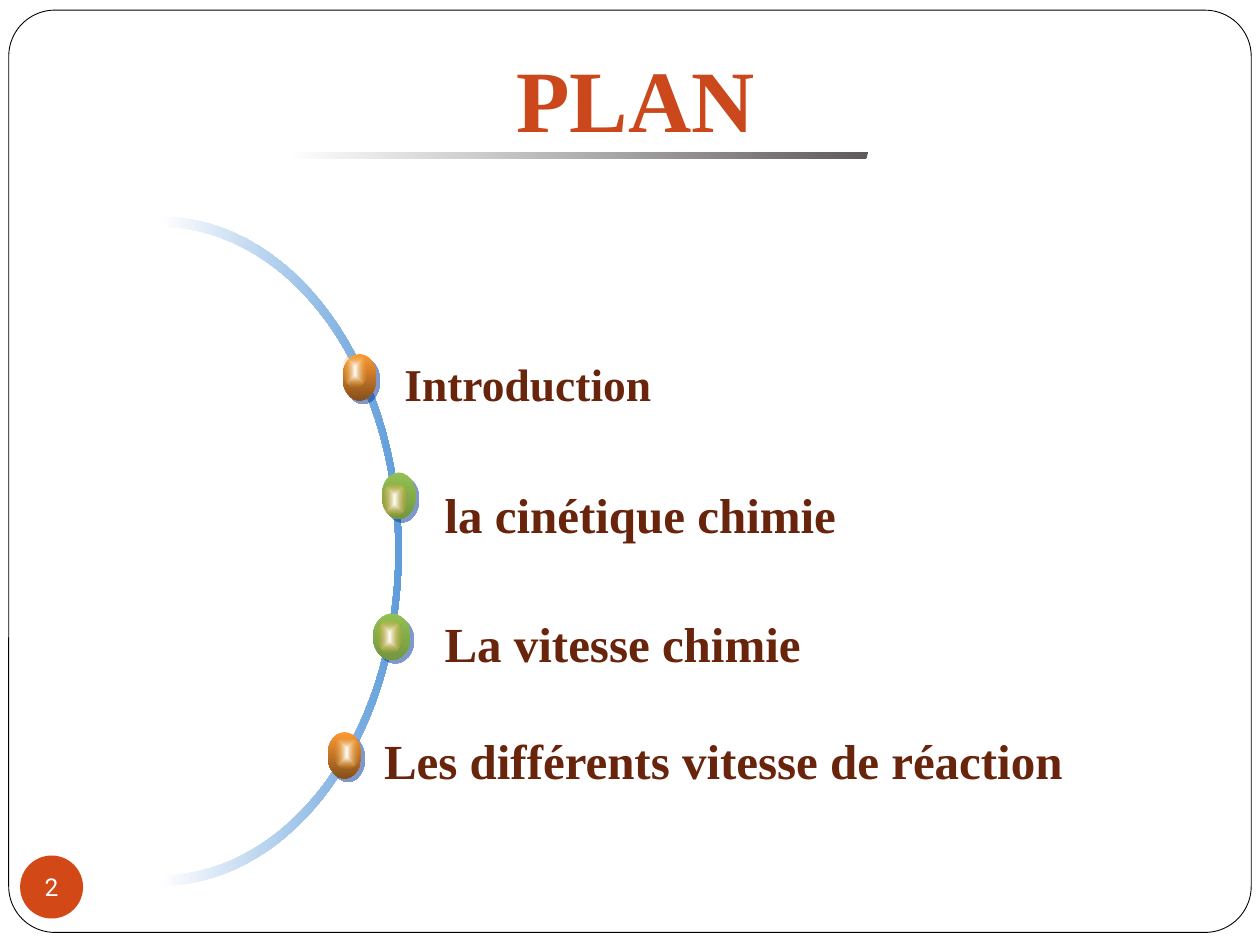
import math
from pptx import Presentation
from pptx import oxml
from pptx.dml.color import RGBColor
from pptx.enum import shapes, text
from pptx.oxml import ns
from pptx.util import Pt

WHITE = RGBColor(0xFF, 0xFF, 0xFF)
BLACK = RGBColor(0x00, 0x00, 0x00)
ORANGE = RGBColor(0xD3, 0x48, 0x17)
RUST = RGBColor(0xCA, 0x48, 0x1C)
BROWN = RGBColor(0x69, 0x24, 0x0C)
GREY = RGBColor(0x69, 0x64, 0x64)
DARK_GREY = RGBColor(0x5F, 0x5A, 0x5A)
BLUE = RGBColor(0x5E, 0x9C, 0xDA)
NAVY = RGBColor(0x00, 0x33, 0x99)
AMBER = RGBColor(0xE9, 0x94, 0x0B)
ORANGE_BEAD = (RGBColor(0xFF, 0x99, 0x33), RGBColor(0x85, 0x50, 0x1B))
GREEN_BEAD = (RGBColor(0x93, 0xC0, 0x52), RGBColor(0x73, 0x97, 0x40))

SERIF = "Times New Roman"
TITLE = ("PLAN", (288, 16.5, 152, 67.7), 50, RUST, 9)
TOPICS = [
    ("Introduction", 26, (224, 196.5, 363, 36)),
    ("la cinétique chimie", 28, (247, 270, 427, 36.7)),
    ("La vitesse chimie", 28, (247, 343.5, 427, 36.7)),
    ("Les différents vitesse de réaction", 28, (212.4, 410.4, 453.6, 36)),
]
BEADS = [
    (ORANGE_BEAD, (195.8, 202.3, 19.4, 26.6), (195.8, 202.3)),
    (GREEN_BEAD, (218.2, 270, 19.4, 26.6), (218.2, 275.8)),
    (GREEN_BEAD, (213.1, 350.6, 21.6, 26.6), (215.3, 354.2)),
    (ORANGE_BEAD, (187.2, 418.3, 19.4, 26.6), (190.8, 420.5)),
]
GLOSS_SIZE = (14.4, 19.4)
BAR = [(495.4, 87.1), (165.6, 87.1), (169.2, 90.7), (493.9, 90.7)]
ARC_CENTER = (91.4, 315)
ARC_OUTER = (138.2, 191.2)
ARC_INNER = (134.6, 185.4)
ARC_STEPS = 60


def box_points(box):
    return [Pt(value) for value in box]


def set_gradient(shape, stops, direction):
    shape.fill.solid()
    colours = "".join(
        f'<a:gs pos="{place * 1000}"><a:srgbClr val="{colour}">'
        f'<a:alpha val="{alpha * 1000}"/></a:srgbClr></a:gs>'
        for place, colour, alpha in stops
    )
    gradient = oxml.parse_xml(
        f'<a:gradFill {ns.nsdecls("a")} rotWithShape="1">'
        f"<a:gsLst>{colours}</a:gsLst>{direction}</a:gradFill>"
    )
    properties = shape._element.spPr
    properties.replace(properties.find(ns.qn("a:solidFill")), gradient)


def linear(angle):
    return f'<a:lin ang="{angle * 60000}" scaled="1"/>'


def centred():
    return (
        '<a:path path="shape"><a:fillToRect l="50000" t="50000" '
        'r="50000" b="50000"/></a:path>'
    )


def add_plain(page, kind, box):
    shape = page.shapes.add_shape(kind, *box_points(box))
    shape.shadow.inherit = False
    shape.line.fill.background()
    return shape


def add_outline(page, points):
    first, *rest = [(Pt(x), Pt(y)) for x, y in points]
    builder = page.shapes.build_freeform(*first)
    builder.add_line_segments(rest, close=True)
    shape = builder.convert_to_shape()
    shape.shadow.inherit = False
    shape.line.fill.background()
    return shape


def half_ellipse(radii):
    angles = [math.pi * (step / ARC_STEPS - 0.5) for step in range(ARC_STEPS + 1)]
    return [
        (ARC_CENTER[0] + radii[0] * math.cos(angle),
         ARC_CENTER[1] + radii[1] * math.sin(angle))
        for angle in angles
    ]


def add_bead(page, colours, box, gloss_place):
    oval = shapes.MSO_SHAPE.OVAL
    bead = add_plain(page, oval, box)
    set_gradient(bead, [(0, colours[0], 100), (100, colours[1], 100)], linear(90))
    effects = bead._element.spPr.find(ns.qn("a:effectLst"))
    effects.append(oxml.parse_xml(
        f'<a:outerShdw {ns.nsdecls("a")} dist="{Pt(2.8)}" dir="2700000" '
        f'algn="ctr" rotWithShape="0"><a:srgbClr val="{NAVY}">'
        '<a:alpha val="50000"/></a:srgbClr></a:outerShdw>'
    ))
    gloss = add_plain(page, oval, gloss_place + GLOSS_SIZE)
    set_gradient(gloss, [(0, WHITE, 100), (100, AMBER, 0)], centred())


def add_heading(page, words, box, size, colour, margin_top):
    frame = page.shapes.add_textbox(*box_points(box)).text_frame
    frame.word_wrap = True
    frame.margin_top = Pt(margin_top)
    frame.margin_bottom = 0
    para = frame.paragraphs[0]
    para.text = words
    para.font.name = SERIF
    para.font.size = Pt(size)
    para.font.bold = True
    para.font.color.rgb = colour


def add_page_number(page, number):
    badge = add_plain(page, shapes.MSO_SHAPE.OVAL, (11.5, 488.9, 36, 36))
    badge.fill.solid()
    badge.fill.fore_color.rgb = ORANGE
    frame = badge.text_frame
    frame.margin_left = frame.margin_right = 0
    frame.margin_top = frame.margin_bottom = 0
    frame.word_wrap = False
    frame.vertical_anchor = text.MSO_ANCHOR.MIDDLE
    para = frame.paragraphs[0]
    para.text = number
    para.alignment = text.PP_ALIGN.CENTER
    para.font.name = "Roboto"
    para.font.size = Pt(14)
    para.font.color.rgb = WHITE


def main():
    deck = Presentation()
    deck.slide_width, deck.slide_height = Pt(720), Pt(540)
    page = deck.slides.add_slide(deck.slide_layouts[6])

    border = add_plain(page, shapes.MSO_SHAPE.ROUNDED_RECTANGLE, (5, 5.8, 710, 527))
    border.adjustments[0] = 0.05
    border.fill.solid()
    border.fill.fore_color.rgb = WHITE
    border.line.color.rgb = BLACK
    border.line.width = Pt(0.5)
    add_page_number(page, "2")

    bar = add_outline(page, BAR)
    set_gradient(bar, [(0, GREY, 0), (100, DARK_GREY, 100)], linear(0))
    add_heading(page, *TITLE)

    arc = add_outline(page, half_ellipse(ARC_OUTER) + half_ellipse(ARC_INNER)[::-1])
    set_gradient(arc, [(0, WHITE, 100), (100, BLUE, 100)], linear(0))
    for bead in BEADS:
        add_bead(page, *bead)
    for words, size, box in TOPICS:
        add_heading(page, words, box, size, BROWN, 7)

    deck.save("out.pptx")


if __name__ == "__main__":
    main()
